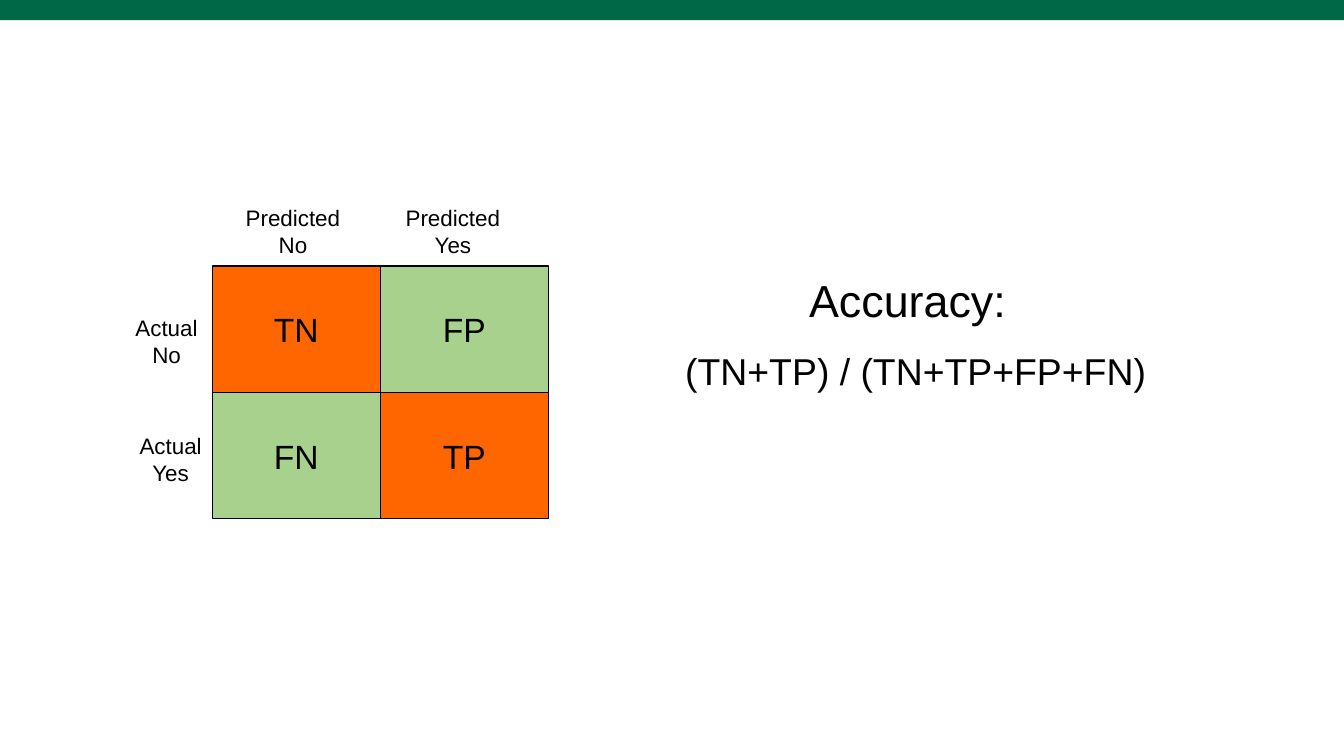
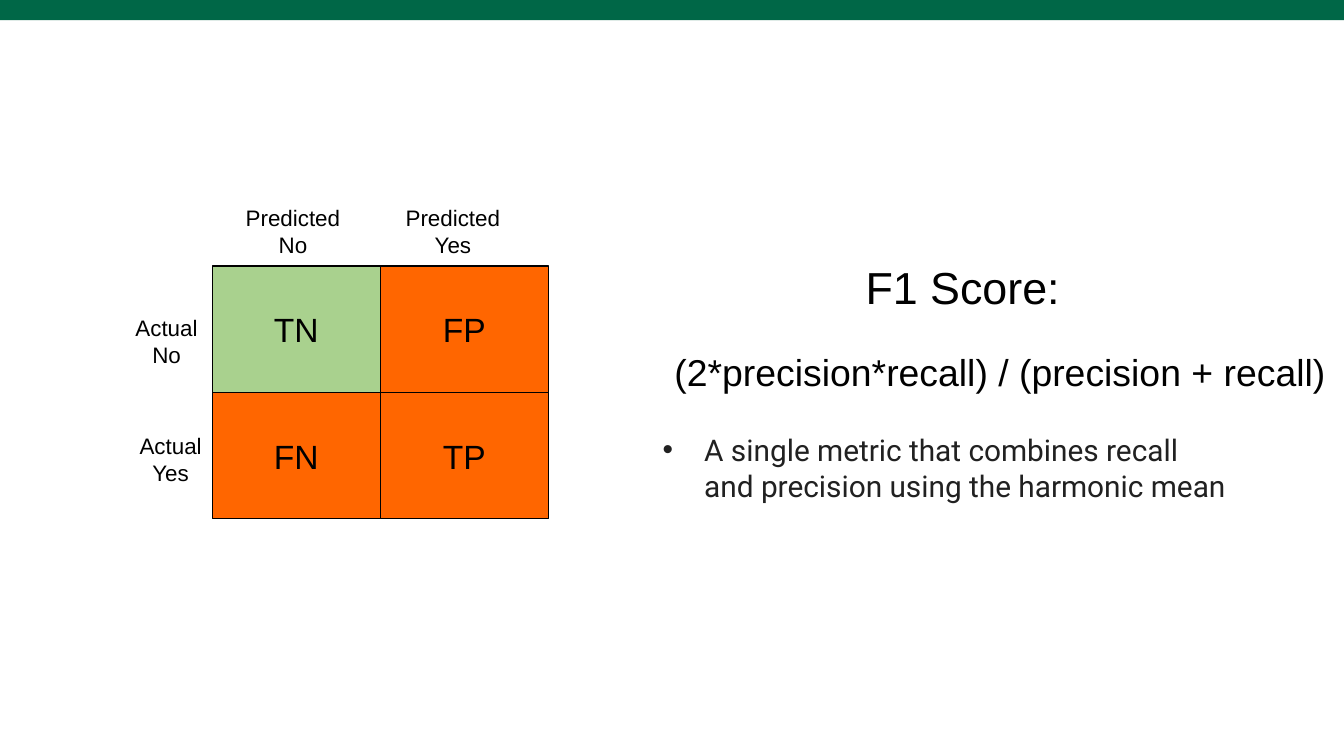
"""Build two slides on accuracy and F1 score beside a confusion matrix."""
from pptx import Presentation
from pptx.dml.color import RGBColor
from pptx.enum.shapes import MSO_SHAPE
from pptx.enum.text import MSO_ANCHOR, MSO_AUTO_SIZE, PP_ALIGN
from pptx.util import Inches, Pt

COLORS = {"band": "006747", "counted": "FF6600", "ignored": "A9D18E",
          "ink": "000000", "note": "212121"}
LEFT, CENTER = PP_ALIGN.LEFT, PP_ALIGN.CENTER
FITTED = {"word_wrap": False, "auto_size": MSO_AUTO_SIZE.SHAPE_TO_FIT_TEXT,
          "vertical_anchor": MSO_ANCHOR.TOP}
WRAPPED = {**FITTED, "word_wrap": True}
CELL = {"word_wrap": True, "vertical_anchor": MSO_ANCHOR.MIDDLE}
CELL_WIDTH, CELL_HEIGHT = 1.25, 0.94
MATRIX_LEFT, MATRIX_TOP = 1.58, 1.98
OUTCOMES = [["TN", "FP"], ["FN", "TP"]]
AXIS_LABELS = [
    (["Predicted", "No"], (1.73, 1.47, 0.96, 0.5)),
    (["Predicted", "Yes"], (2.92, 1.47, 0.96, 0.5)),
    (["Actual", "No"], (0.91, 2.29, 0.67, 0.5)),
    (["Actual", "Yes"], (0.94, 3.17, 0.67, 0.5)),
]
METRICS = [
    {"layout": 5, "counted": ["TN", "TP"],
     "title": "Accuracy:", "title_box": (5.92, 1.98, 1.68, 0.5),
     "formula": "(TN+TP) / (TN+TP+FP+FN)", "formula_box": (5, 2.54, 3.66, 0.44)},
    {"layout": 1, "counted": ["FP", "FN", "TP"],
     "title": "F1 Score:", "title_box": (6.34, 1.88, 1.66, 0.5),
     "formula": "(2*precision*recall) / (precision + recall)",
     "formula_box": (4.92, 2.55, 5.07, 0.44),
     "note": "A single metric that combines recall and precision using the harmonic mean",
     "note_box": (4.83, 3.16, 4.43, 0.88)},
]


def place(holder, box):
    for side, length in zip(("left", "top", "width", "height"), box):
        setattr(holder, side, Inches(length))


def write(holder, lines, size, frame_format, aligns=(LEFT,), font="Arial", color="ink"):
    frame = holder.text_frame
    frame.text = "\n".join(lines)
    for name, value in frame_format.items():
        setattr(frame, name, value)
    for paragraph, align in zip(frame.paragraphs, aligns):
        paragraph.alignment = align
        paragraph.space_before = Pt(0)
        for name, value in {"name": font, "size": Pt(size)}.items():
            setattr(paragraph.runs[0].font, name, value)
        paragraph.runs[0].font.color.rgb = RGBColor.from_string(COLORS[color])


deck = Presentation()
deck.slide_width = Inches(10)
deck.slide_height = deck.slide_width * 9 // 16

for metric in METRICS:
    slide = deck.slides.add_slide(deck.slide_layouts[metric["layout"]])

    for row, outcomes in enumerate(OUTCOMES):
        for column, outcome in enumerate(outcomes):
            cell = slide.shapes.add_shape(
                MSO_SHAPE.RECTANGLE,
                Inches(MATRIX_LEFT + column * CELL_WIDTH),
                Inches(MATRIX_TOP + row * CELL_HEIGHT),
                Inches(CELL_WIDTH), Inches(CELL_HEIGHT))
            cell.shadow.inherit = False
            state = "counted" if outcome in metric["counted"] else "ignored"
            cell.fill.solid()
            cell.fill.fore_color.rgb = RGBColor.from_string(COLORS[state])
            cell.line.color.rgb = RGBColor.from_string(COLORS["ink"])
            cell.line.width = Pt(0.75)
            write(cell, [outcome], 18, CELL, (CENTER,))

    for words, box in AXIS_LABELS:
        label = slide.shapes.add_textbox(*map(Inches, box))
        write(label, words, 12, FITTED, (LEFT, CENTER))

    formula = slide.shapes.add_textbox(*map(Inches, metric["formula_box"]))
    write(formula, [metric["formula"]], 20, FITTED)

    title = slide.shapes.title
    write(title, [metric["title"]], 24, FITTED)
    place(title, metric["title_box"])

    if "note" in metric:
        note = slide.placeholders[1]
        write(note, [metric["note"]], 16, WRAPPED, font="Roboto", color="note")
        place(note, metric["note_box"])
        bullet = note.text_frame.paragraphs[0]._p.get_or_add_pPr()
        bullet.set("marL", str(Inches(0.31)))
        bullet.set("indent", str(Inches(-0.31)))

band = slide.shapes.add_shape(MSO_SHAPE.RECTANGLE, 0, 0, deck.slide_width, Inches(0.15))
band.shadow.inherit = False
band.fill.solid()
band.fill.fore_color.rgb = RGBColor.from_string(COLORS["band"])
band.line.fill.background()
deck.slide_master.shapes.element.append(band.element)

deck.save("out.pptx")
